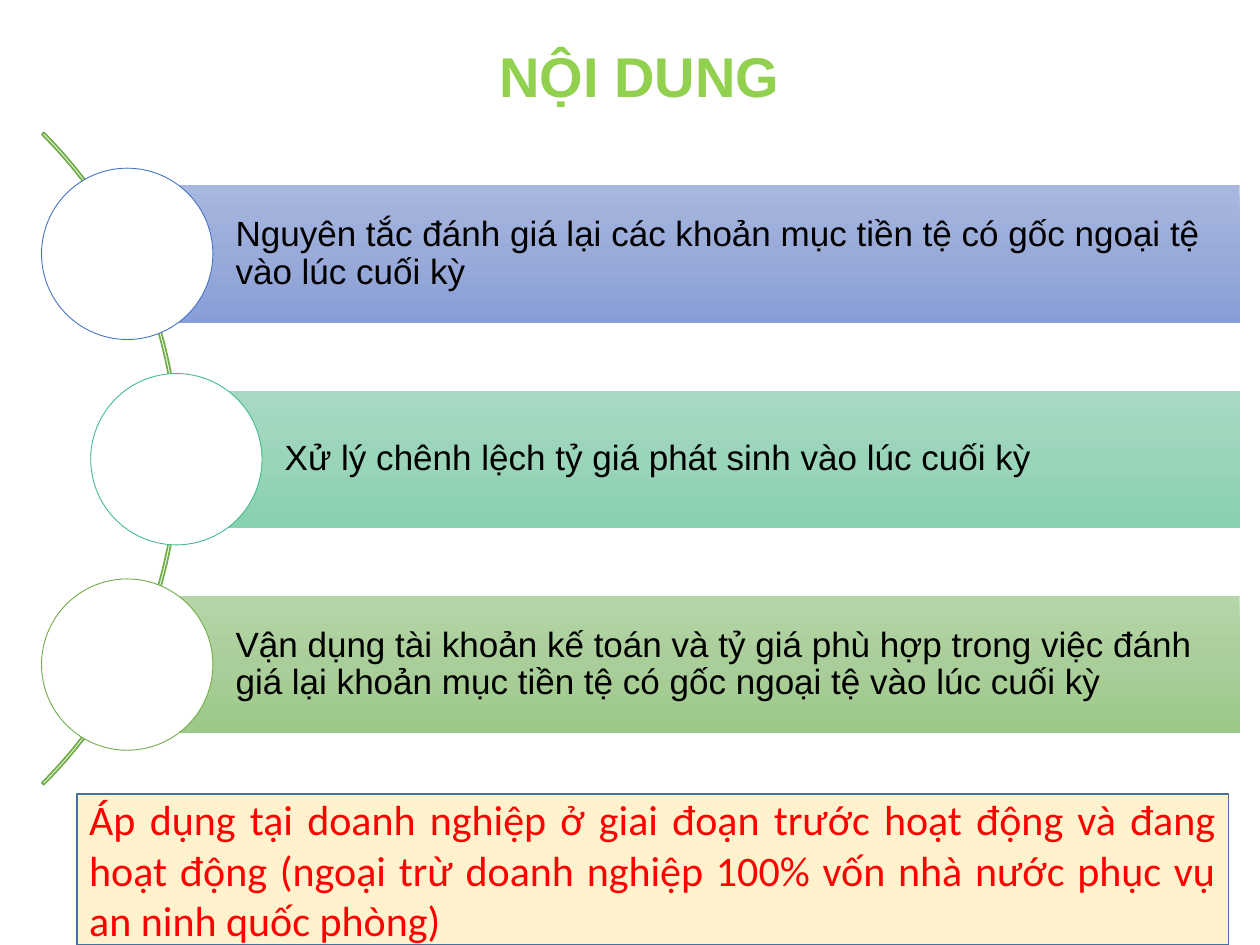
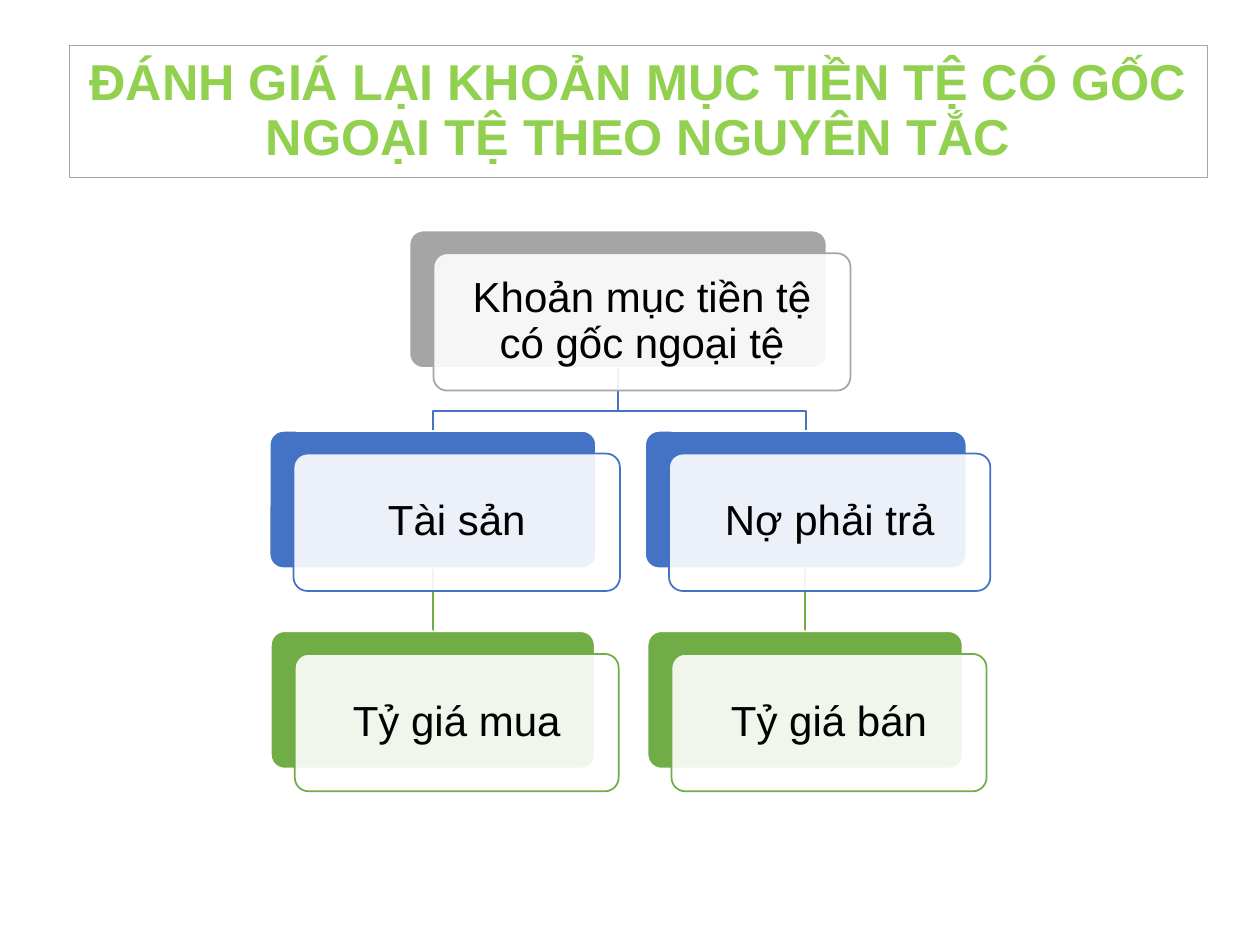
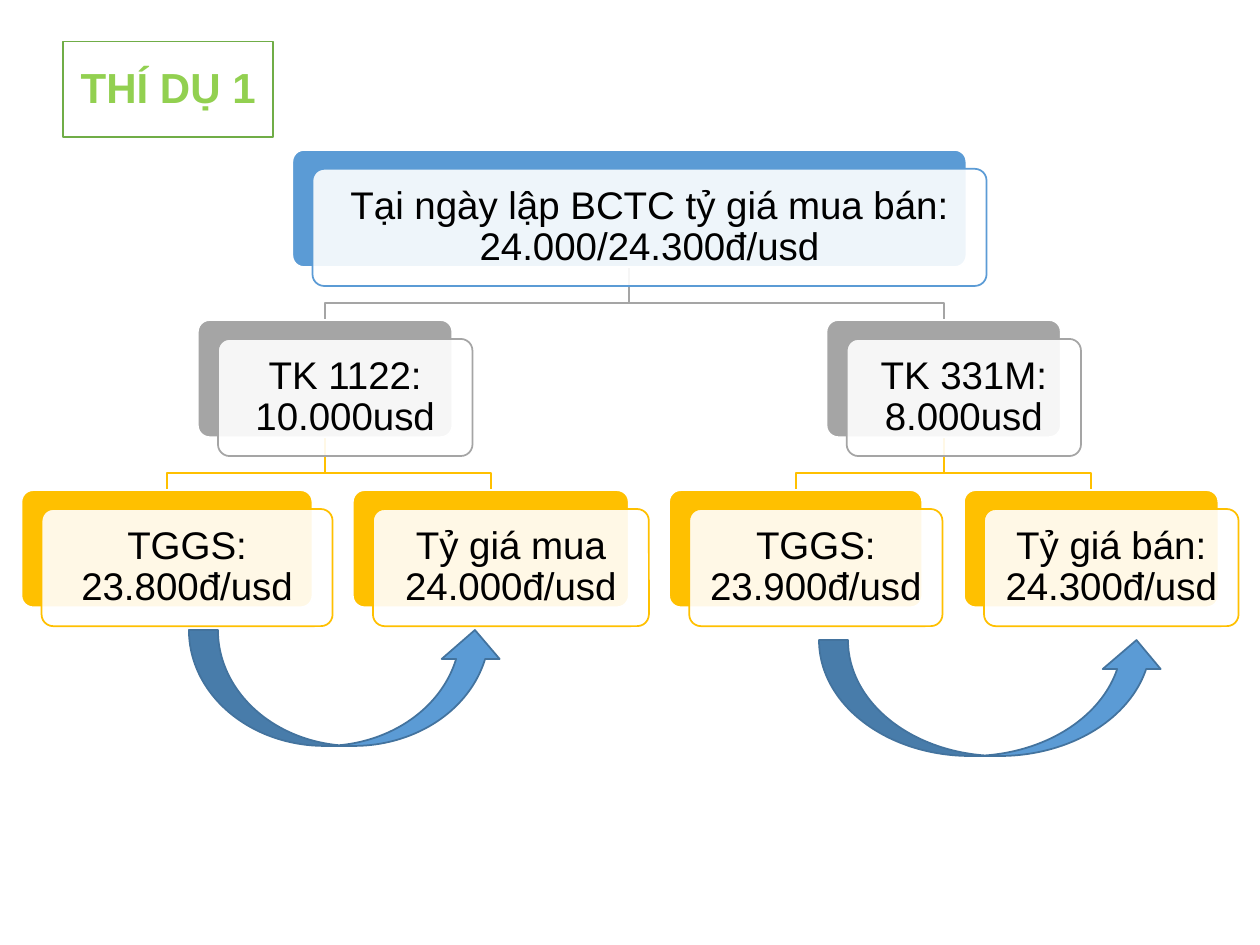
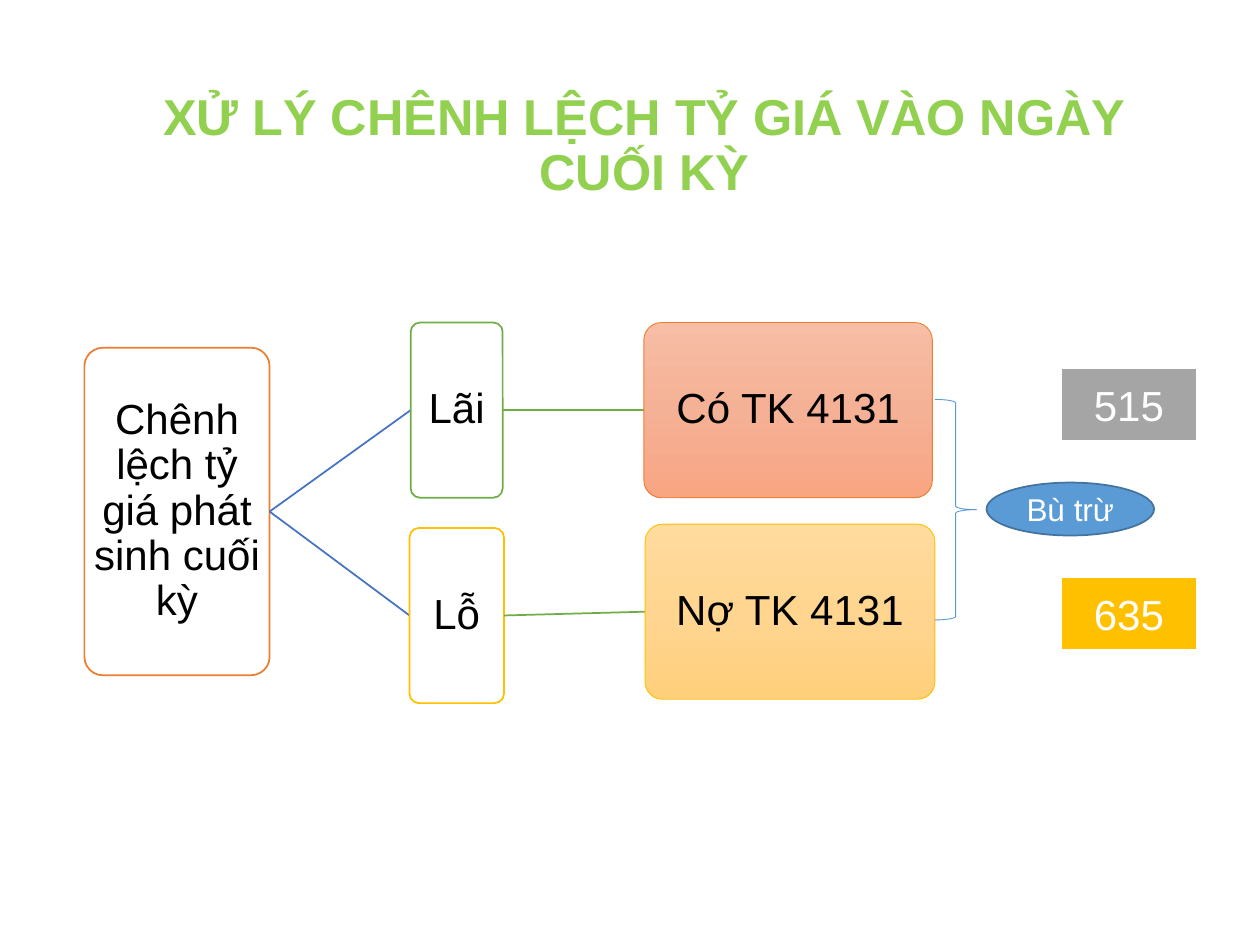
from copy import deepcopy
from dataclasses import dataclass

from pptx import Presentation
from pptx.dml.color import RGBColor
from pptx.enum import shapes, text
from pptx.oxml import ns, xmlchemy
from pptx.util import Inches, Pt

FORM = shapes.MSO_SHAPE
ALIGN = text.PP_ALIGN


@dataclass(frozen=True)
class Theme:
    font: str = "Arial"
    note_font: str = "Calibri"
    title: str = "92D050"
    ink: str = "000000"
    white: str = "FFFFFF"
    alert: str = "FF0000"
    cream: str = "FFF2CC"
    blue: str = "4472C4"
    sky: str = "5B9BD5"
    steel: str = "43739E"
    teal: str = "43BB8D"
    green: str = "70AD47"
    grey: str = "A5A5A5"
    gold: str = "FFC000"
    orange: str = "ED7D31"
    blue_fade: tuple = ("A8B7DF", "9AABD9", "889ED7")
    teal_fade: tuple = ("A8DAC3", "9AD4B9", "87D1AF")
    green_fade: tuple = ("B5D5A7", "AACE9A", "9CC987")
    orange_fade: tuple = ("F7BDA5", "F5B196", "F8A582")
    gold_fade: tuple = ("FFDB9E", "FFD590", "FFD07C")
    cover_size: float = 32
    title_size: float = 28.8
    body_size: float = 24
    tree_size: float = 22
    bar_size: float = 20
    small_size: float = 18


@dataclass(frozen=True)
class Node:
    label: str
    left: float
    width: float
    level: int
    parent: int = -1

    @property
    def center(self):
        return self.left + self.width / 2


class Deck:
    def __init__(self, theme):
        self.theme = theme
        self.prs = Presentation()
        self.prs.slide_width, self.prs.slide_height = Inches(10), Inches(7.5)
        self.slide = None

    def new_slide(self):
        self.slide = self.prs.slides.add_slide(self.prs.slide_layouts[6])

    def fill(self, shape, color):
        if color is None:
            shape.fill.background()
        elif isinstance(color, tuple):
            shape.fill.gradient()
            shape.fill.gradient_angle = 270
            first = shape._element.spPr.find(".//" + ns.qn("a:gs"))
            middle = deepcopy(first)
            middle.set("pos", "50000")
            first.addnext(middle)
            for stop, shade in zip(shape.fill.gradient_stops, color):
                stop.color.rgb = RGBColor.from_string(shade)
        else:
            shape.fill.solid()
            shape.fill.fore_color.rgb = RGBColor.from_string(color)

    def outline(self, line, color, width):
        if color is None:
            line.fill.background()
        else:
            line.color.rgb = RGBColor.from_string(color)
            line.width = Pt(width)

    def shape(self, form, box, fill=None, line=None, width=1, adjust=()):
        shape = self.slide.shapes.add_shape(form, *map(Inches, box))
        shape.shadow.inherit = False
        for index, value in enumerate(adjust):
            shape.adjustments[index] = value
        self.fill(shape, fill)
        self.outline(shape.line, line, width)
        return shape

    def put_text(self, shape, words, size, color=None, font=None, bold=False,
                 align=ALIGN.CENTER, spacing=None, insets=(0.1, 0.05, 0.1, 0.05), wrap=True):
        frame = shape.text_frame
        frame.word_wrap = wrap
        frame.vertical_anchor = text.MSO_ANCHOR.MIDDLE
        (frame.margin_left, frame.margin_top,
         frame.margin_right, frame.margin_bottom) = map(Inches, insets)
        paragraph = frame.paragraphs[0]
        paragraph.alignment = align
        if spacing:
            paragraph.line_spacing = spacing
        run = paragraph.add_run()
        run.text = words
        run.font.name = font or self.theme.font
        run.font.size = Pt(size)
        run.font.bold = bold
        run.font.color.rgb = RGBColor.from_string(color or self.theme.ink)

    def title(self, words, box, line=None, width=0.5, size=None):
        frame = self.shape(FORM.RECTANGLE, box, self.theme.white, line, width)
        self.put_text(frame, words, size or self.theme.title_size, self.theme.title,
                      bold=True, spacing=0.9)

    def heading(self, words, box):
        heading = self.slide.shapes.add_textbox(*map(Inches, box))
        self.put_text(heading, words, self.theme.cover_size, self.theme.title,
                      bold=True, wrap=False)

    def bar(self, words, left, top, fade, ring):
        side, height = 1.36, 1.09
        start = left + side / 2
        bar = self.shape(FORM.RECTANGLE, (start, top, 9.84 - start, height), fade)
        self.put_text(bar, words, self.theme.bar_size, align=ALIGN.LEFT, spacing=0.9,
                      insets=(0.86, 0.06, 0.06, 0.06))
        self.shape(FORM.OVAL, (left, top - (side - height) / 2, side, side),
                   self.theme.white, ring, 0.5)

    def box(self, words, box, fill, line, width=1):
        panel = self.shape(FORM.ROUNDED_RECTANGLE, box, fill, line, width, (0.1,))
        self.put_text(panel, words, self.theme.body_size, spacing=0.9, insets=(0.02,) * 4)

    def label(self, words, form, box, fill, line, width, size):
        label = self.shape(form, box, fill, line, width)
        self.put_text(label, words, size, self.theme.white)

    def link(self, start, end, color):
        link = self.slide.shapes.add_connector(
            shapes.MSO_CONNECTOR.STRAIGHT, *map(Inches, (*start, *end)))
        self.outline(link.line, color, 1)
        link._element.spPr.append(xmlchemy.OxmlElement("a:effectLst"))

    def branch(self, start, end, color):
        (x1, y1), (x2, y2) = start, end
        if abs(x1 - x2) < 0.02:
            self.link((x2, y1), end, color)
            return
        bend = y1 + 0.68 * (y2 - y1)
        builder = self.slide.shapes.build_freeform(Inches(x1), Inches(y1))
        corners = [(x1, bend), (x2, bend), (x2, y2)]
        builder.add_line_segments([(Inches(x), Inches(y)) for x, y in corners], close=False)
        branch = builder.convert_to_shape()
        branch.shadow.inherit = False
        self.fill(branch, None)
        self.outline(branch.line, color, 1)

    def card(self, words, box, color, shift, size, inset):
        left, top, width, height = box
        self.shape(FORM.ROUNDED_RECTANGLE, box, color, self.theme.white, adjust=(0.1,))
        face = self.shape(FORM.ROUNDED_RECTANGLE,
                          (left + shift[0], top + shift[1], width, height),
                          self.theme.white, color, adjust=(0.1,))
        tint = face._element.spPr.find(ns.qn("a:solidFill"))[0]
        alpha = xmlchemy.OxmlElement("a:alpha")
        alpha.set("val", "90000")
        tint.append(alpha)
        self.put_text(face, words, size, spacing=0.9, insets=(inset,) * 4)

    def tree(self, nodes, colors, top, step, height, shift, size, inset):
        for node in nodes:
            if node.parent >= 0:
                parent = nodes[node.parent]
                self.branch((parent.center, top + parent.level * step + height),
                            (node.center, top + node.level * step), colors[node.level])
        for node in nodes:
            self.card(node.label, (node.left, top + node.level * step, node.width, height),
                      colors[node.level], shift, size, inset)


def contents(deck):
    t = deck.theme
    deck.new_slide()
    deck.shape(FORM.BLOCK_ARC, (-5.9, -0.02, 7.32, 7.32), line=t.green,
               adjust=(189, 27, 0.003))
    topics = [
        ("Nguyên tắc đánh giá lại các khoản mục tiền tệ có gốc ngoại tệ vào lúc cuối kỳ",
         0.33, t.blue_fade, t.blue),
        ("Xử lý chênh lệch tỷ giá phát sinh vào lúc cuối kỳ", 0.72, t.teal_fade, t.teal),
        ("Vận dụng tài khoản kế toán và tỷ giá phù hợp trong việc đánh giá lại "
         "khoản mục tiền tệ có gốc ngoại tệ vào lúc cuối kỳ", 0.33, t.green_fade, t.green),
    ]
    for row, (words, left, fade, ring) in enumerate(topics):
        deck.bar(words, left, 1.47 + 1.63 * row, fade, ring)
    deck.heading("NỘI DUNG", (3.85, 0.28, 2.45, 0.64))
    scope = deck.shape(FORM.RECTANGLE, (0.61, 6.3, 9.14, 1.2), t.cream, t.steel)
    deck.put_text(scope, "Áp dụng tại doanh nghiệp ở giai đoạn trước hoạt động và đang hoạt động "
                  "(ngoại trừ doanh nghiệp 100% vốn nhà nước phục vụ an ninh quốc phòng)",
                  t.body_size, t.alert, t.note_font, align=ALIGN.JUSTIFY)


def principles(deck):
    t = deck.theme
    deck.new_slide()
    deck.title("ĐÁNH GIÁ LẠI KHOẢN MỤC TIỀN TỆ CÓ GỐC NGOẠI TỆ THEO NGUYÊN TẮC",
               (0.55, 0.36, 9.03, 1.05), t.grey)
    items = [
        Node("Khoản mục tiền tệ có gốc ngoại tệ", 3.25, 3.31, 0),
        Node("Tài sản", 2.14, 2.59, 1, 0),
        Node("Tỷ giá mua", 2.15, 2.57, 2, 1),
        Node("Nợ phải trả", 5.12, 2.55, 1, 0),
        Node("Tỷ giá bán", 5.14, 2.5, 2, 3),
    ]
    deck.tree(items, (t.grey, t.blue, t.green), top=1.83, step=1.59, height=1.09,
              shift=(0.19, 0.18), size=t.body_size, inset=0.1)


def example(deck):
    t = deck.theme
    deck.new_slide()
    deck.title("THÍ DỤ 1", (0.5, 0.33, 1.67, 0.76), t.green, 1, t.body_size)
    accounts = [
        Node("Tại ngày lập BCTC tỷ giá mua bán: 24.000/24.300đ/usd", 2.32, 5.35, 0),
        Node("TK 1122: 10.000usd", 1.57, 2.02, 1, 0),
        Node("TGGS: 23.800đ/usd", 0.17, 2.31, 2, 1),
        Node("Tỷ giá mua 24.000đ/usd", 2.8, 2.19, 2, 1),
        Node("TK 331M: 8.000usd", 6.56, 1.86, 1, 0),
        Node("TGGS: 23.900đ/usd", 5.31, 2.01, 2, 4),
        Node("Tỷ giá bán: 24.300đ/usd", 7.65, 2.02, 2, 4),
    ]
    deck.tree(accounts, (t.sky, t.grey, t.gold), top=1.19, step=1.35, height=0.93,
              shift=(0.16, 0.15), size=t.tree_size, inset=0.09)
    for box in ((1.5, 5, 2.5, 0.92), (6.5, 5.08, 2.75, 0.92)):
        deck.shape(FORM.CURVED_UP_ARROW, box, t.sky, t.steel)


def differences(deck):
    t = deck.theme
    deck.new_slide()
    deck.title("XỬ LÝ CHÊNH LỆCH TỶ GIÁ VÀO NGÀY CUỐI KỲ", (1.18, 0.64, 7.87, 1.05), t.white)
    deck.box("Chênh lệch tỷ giá phát sinh cuối kỳ", (0.67, 2.76, 1.47, 2.6),
             t.white, t.orange)
    outcomes = [
        ("Lãi", (3.26, 2.56, 0.73, 1.39), t.green,
         "Có TK 4131", (5.11, 2.56, 2.29, 1.39), t.orange_fade, t.orange),
        ("Lỗ", (3.25, 4.19, 0.75, 1.39), t.gold,
         "Nợ TK 4131", (5.12, 4.16, 2.3, 1.39), t.gold_fade, t.gold),
    ]
    for result, result_box, ring, entry, entry_box, fade, edge in outcomes:
        left, top, width, height = result_box
        middle = top + height / 2
        deck.link((2.14, 4.06), (left, middle), t.blue)
        deck.box(result, result_box, t.white, ring)
        deck.link((left + width, middle),
                  (entry_box[0], entry_box[1] + entry_box[3] / 2), t.green)
        deck.box(entry, entry_box, fade, edge, 0.5)
    deck.shape(FORM.RIGHT_BRACE, (7.42, 3.17, 0.33, 1.75), line=t.sky, width=0.5)
    for account, top, color in (("515", 2.92, t.grey), ("635", 4.58, t.gold)):
        deck.label(account, FORM.RECTANGLE, (8.42, top, 1.08, 0.58),
                   color, t.white, 1.5, t.body_size)
    deck.label("Bù trừ", FORM.OVAL, (7.83, 3.83, 1.33, 0.42),
               t.sky, t.steel, 1, t.small_size)


def main():
    deck = Deck(Theme())
    for build in (contents, principles, example, differences):
        build(deck)
    deck.prs.save("out.pptx")


if __name__ == "__main__":
    main()
